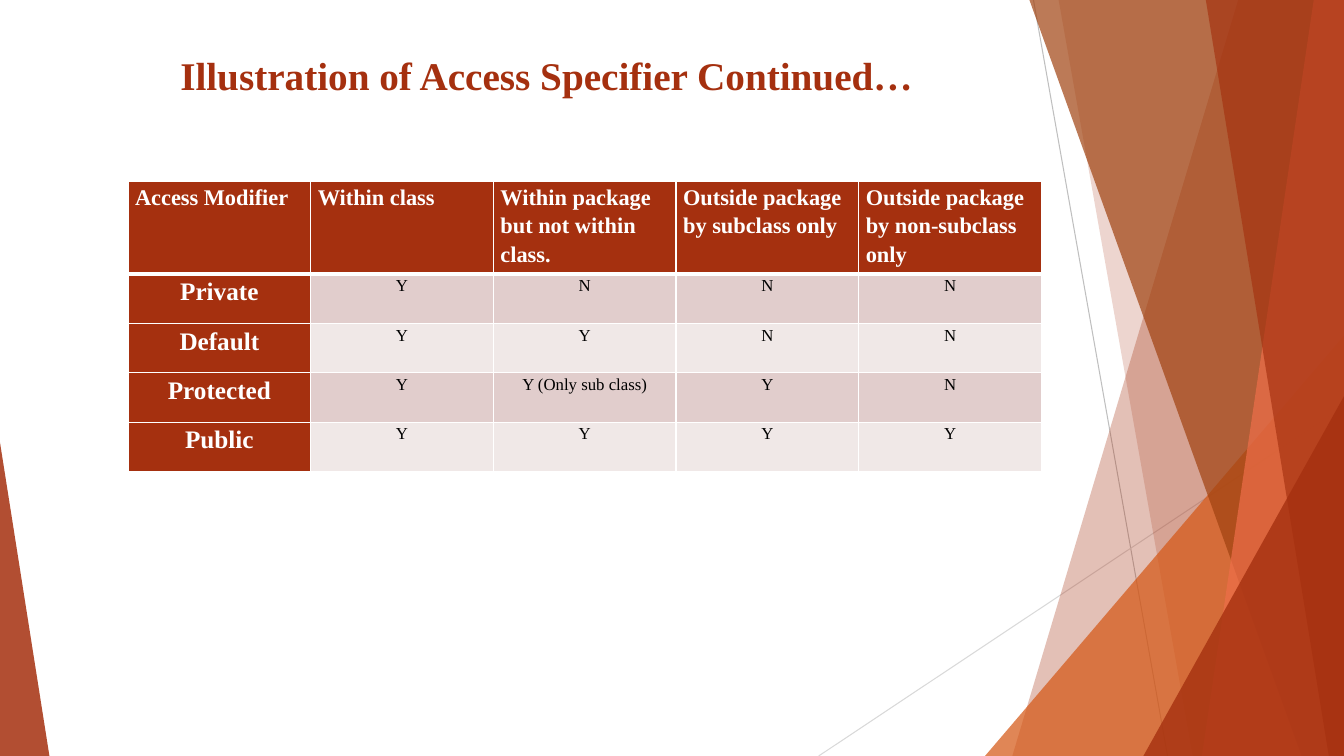
from lxml.etree import SubElement
from pptx import Presentation
from pptx.dml.color import RGBColor
from pptx.enum.shapes import MSO_CONNECTOR as Connector, MSO_SHAPE as Shape
from pptx.enum.text import MSO_ANCHOR as Anchor, PP_ALIGN as Align
from pptx.oxml.ns import qn
from pptx.util import Inches, Pt

WIDTH, HEIGHT = 13.33, 7.5
FONT = "Times New Roman"
RUST, WHITE, BLACK = "A5300F", "FFFFFF", "000000"
BANDS = ("E1CDCC", "F0E8E7")

HEADINGS = [
    "Access Modifier",
    "Within class",
    "Within package\nbut not within class.",
    "Outside package\nby subclass only",
    "Outside package\nby non-subclass only",
]
ACCESS = [
    ("Private", "Y", "N", "N", "N"),
    ("Default", "Y", "Y", "N", "N"),
    ("Protected", "Y", "Y (Only sub class)", "Y", "N"),
    ("Public", "Y", "Y", "Y", "Y"),
]


def color(code):
    return RGBColor.from_string(code)


def paint(shape, code, opacity):
    """Fill a shape with a translucent colour, without outline or shadow."""
    shape.shadow.inherit = False
    shape.line.fill.background()
    shape.fill.solid()
    shape.fill.fore_color.rgb = color(code)
    tint = shape.fill._xPr.find(qn("a:solidFill"))[0]
    SubElement(tint, qn("a:alpha"), val=str(opacity * 1000))


def write(frame, text, size, code, bold, align=Align.LEFT, spacing=1.0):
    frame.word_wrap = True
    frame.text = text
    for para in frame.paragraphs:
        para.alignment, para.line_spacing = align, spacing
        font = para.runs[0].font
        formats = {"name": FONT, "size": Pt(size), "bold": bold}
        for name, value in formats.items():
            setattr(font, name, value)
        font.color.rgb = color(code)


def add_ray(page, start, end, code):
    ends = [Inches(value) for value in (*start, *end)]
    ray = page.shapes.add_connector(Connector.STRAIGHT, *ends)
    ray.line.color.rgb = color(code)
    ray.line.width = Pt(0.75)
    SubElement(ray._element.spPr, qn("a:effectLst"))


def add_panel(page, right, height, top_inset, bottom_inset, code, opacity):
    """Draw a panel along the right edge, its slanted side set by two insets."""
    corners = [(right - top_inset, 0), (right, 0),
               (right, height), (right - bottom_inset, height)]
    points = [(Inches(x), Inches(y)) for x, y in corners]
    builder = page.shapes.build_freeform(*points[0])
    builder.add_line_segments(points[1:], close=True)
    paint(builder.convert_to_shape(), code, opacity)


def add_wedge(page, left, bottom, width, height, apex, code, opacity):
    """Draw a right triangle standing on the bottom edge."""
    box = [Inches(v) for v in (left, bottom - height, width, height)]
    wedge = page.shapes.add_shape(Shape.ISOSCELES_TRIANGLE, *box)
    wedge.adjustments[0] = apex
    paint(wedge, code, opacity)


def add_backdrop(page, width, height):
    add_ray(page, (width - 3.08, 0), (width - 1.75, height), "BFBFBF")
    add_ray(page, (width, 4.03), (width - 5.21, height), "D9D9D9")
    add_panel(page, width, height, 1.05, 3.29, RUST, 30)
    add_panel(page, width, height, 2.83, 1.5, RUST, 20)
    add_wedge(page, width - 3.56, height, 3.56, 4.17, 1, "D55816", 72)
    add_panel(page, width, height, 3.12, 0.42, "A04210", 70)
    add_panel(page, width, height, 0.3, 1.41, "EE6E4A", 70)
    add_panel(page, width, height, 1.37, 0.15, RUST, 65)
    add_wedge(page, width - 1.99, height, 1.99, 3.57, 1, RUST, 80)
    add_wedge(page, 0, height, 0.49, 3.11, 0, RUST, 85)


def add_title(page, left, top, width, height):
    box = page.shapes.add_textbox(*map(Inches, (left, top, width, height)))
    box.text_frame.vertical_anchor = Anchor.MIDDLE
    write(box.text_frame, "Illustration of Access Specifier Continued…",
          28, RUST, True)


def style_cell(cell, fill, top_width, bottom_width):
    margins = {"margin_left": 0.07, "margin_right": 0.07,
               "margin_top": 0, "margin_bottom": 0}
    for name, value in margins.items():
        setattr(cell, name, Inches(value))
    props = cell._tc.get_or_add_tcPr()
    borders = {"lnL": 1, "lnR": 1, "lnT": top_width, "lnB": bottom_width}
    for side, points in borders.items():
        line = SubElement(props, qn(f"a:{side}"), w=str(Pt(points)))
        solid = SubElement(line, qn("a:solidFill"))
        SubElement(solid, qn("a:srgbClr"), val=WHITE)
    cell.fill.solid()
    cell.fill.fore_color.rgb = color(fill)


def add_access_table(page, left, top, width, header_height, row_height):
    rows = [HEADINGS, *ACCESS]
    height = header_height + row_height * len(ACCESS)
    box = map(Inches, (left, top, width, height))
    table = page.shapes.add_table(len(rows), len(HEADINGS), *box).table
    table.horz_banding = False
    for column in table.columns:
        column.width = Inches(width / len(HEADINGS))
    for i, texts in enumerate(rows):
        table.rows[i].height = Inches(row_height if i else header_height)
        for j, text in enumerate(texts):
            if i == 0:
                fill, look = RUST, (16, WHITE, True, Align.LEFT)
            elif j == 0:
                fill, look = RUST, (18, WHITE, True, Align.CENTER)
            else:
                fill = BANDS[(i - 1) % 2]
                look = (12, BLACK, False, Align.CENTER)
            cell = table.cell(i, j)
            style_cell(cell, fill, 3 if i == 1 else 1, 3 if i == 0 else 1)
            write(cell.text_frame, text, *look, spacing=1.15)


def main():
    deck = Presentation()
    deck.slide_width, deck.slide_height = Inches(WIDTH), Inches(HEIGHT)
    page = deck.slides.add_slide(deck.slide_layouts[6])
    add_backdrop(page, WIDTH, HEIGHT)
    add_title(page, 1.69, 0.43, 8.2, 0.62)
    add_access_table(page, 1.27, 1.8, 9.06, 0.92, 0.49)
    deck.save("out.pptx")


if __name__ == "__main__":
    main()
